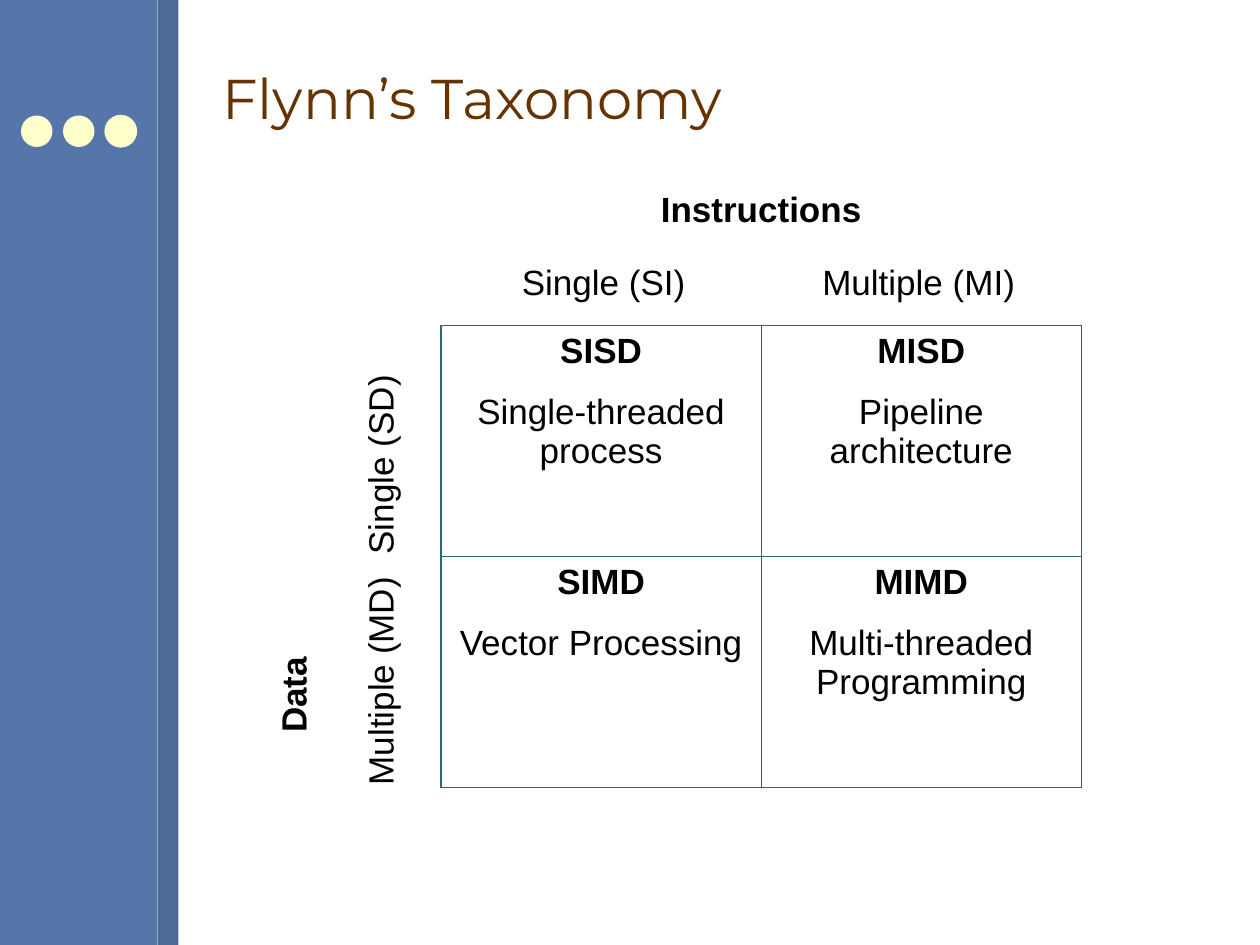
"""Build the Flynn's Taxonomy slide on a grid of 120 columns by 90 rows."""
import lxml.etree
import pptx
import pptx.dml.color
import pptx.enum.shapes
import pptx.enum.text
import pptx.oxml.ns
import pptx.util

BLUE = pptx.dml.color.RGBColor(0x56, 0x75, 0xA9)
DARK_BLUE = pptx.dml.color.RGBColor(0x4D, 0x69, 0x97)
CREAM = pptx.dml.color.RGBColor(0xFF, 0xFF, 0xCC)
BROWN = pptx.dml.color.RGBColor(0x66, 0x33, 0x00)
BLACK = pptx.dml.color.RGBColor(0, 0, 0)
TEAL = pptx.dml.color.RGBColor(0x33, 0x66, 0x66)
CENTER = pptx.enum.text.PP_ALIGN.CENTER
SHAPE = pptx.enum.shapes.MSO_SHAPE

prs = pptx.Presentation()
prs.slide_width = pptx.util.Inches(10)
prs.slide_height = pptx.util.Inches(7.5)
s = prs.slides.add_slide(prs.slide_layouts[6])
COL, ROW = prs.slide_width / 120, prs.slide_height / 90


def grid(x, y, w, h):
    return int(x * COL), int(y * ROW), int(w * COL), int(h * ROW)


def write(p, text, font="Arial", size=20, color=BLACK, bold=False, align=CENTER, line=None, gap=None):
    p.alignment = align
    if line:
        p.line_spacing = line
    if gap:
        p.space_before = p.space_after = pptx.util.Pt(gap)
    r = p.add_run()
    r.text = text
    r.font.name, r.font.size, r.font.bold = font, pptx.util.Pt(size), bold
    r.font.color.rgb = color


for kind, color, box in [
    (SHAPE.RECTANGLE, BLUE, (0, 0, 15, 90)),
    (SHAPE.RECTANGLE, DARK_BLUE, (15, 0, 2, 90)),
    *[(SHAPE.OVAL, CREAM, (2 + 4 * i, 11, 3, 3)) for i in range(3)],
]:
    sp = s.shapes.add_shape(kind, *grid(*box))
    sp.shadow.inherit = False
    sp.fill.solid()
    sp.fill.fore_color.rgb = color
    sp.line.fill.background()
sp.line.color.rgb = CREAM
sp.line.width = pptx.util.Pt(0.75)

tf = s.shapes.add_textbox(*grid(20, 2.5, 96, 13.5)).text_frame
tf.word_wrap = True
tf.vertical_anchor = pptx.enum.text.MSO_ANCHOR.MIDDLE
write(tf.paragraphs[0], "Flynn’s Taxonomy", font="Montserrat", size=32, color=BROWN, align=None)

for text, box, bold, upward in [
    ("Instructions", (43, 18, 59, 4.5), True, False),
    ("Single (SI)", (43, 25, 29, 4.5), False, False),
    ("Multiple (MI)", (73, 25, 29, 4.5), False, False),
    ("Data", (26, 35, 5.6, 36), True, True),
    ("Single (SD)", (34.3, 30, 5.6, 24), False, True),
    ("Multiple (MD)", (34.3, 52, 5.6, 24), False, True),
]:
    sp = s.shapes.add_textbox(*grid(*box))
    tf = sp.text_frame
    tf.word_wrap = True
    if upward:
        sp.rotation = 180
        sp.element.txBody.bodyPr.set("vert", "eaVert")
        tf.margin_left = tf.margin_right = pptx.util.Inches(0.05)
        tf.margin_top = tf.margin_bottom = pptx.util.Inches(0.1)
    write(tf.paragraphs[0], text, bold=bold, line=0.81)

CELLS = [
    [("SISD", "Single-threaded process"), ("MISD", "Pipeline architecture")],
    [("SIMD", "Vector Processing"), ("MIMD", "Multi-threaded Programming")],
]
table = s.shapes.add_table(2, 2, *grid(42, 31, 61, 44)).table
table.first_row = table.horz_banding = False
for i, row in enumerate(CELLS):
    for j, (name, example) in enumerate(row):
        cell = table.cell(i, j)
        tc_pr = cell._tc.get_or_add_tcPr()
        for side, outer in [("L", j == 0), ("R", j == 1), ("T", i == 0), ("B", i == 1)]:
            ln = lxml.etree.SubElement(tc_pr, pptx.oxml.ns.qn(f"a:ln{side}"))
            ln.set("w", str(pptx.util.Pt(1.08 if outer else 0.45)))
            fill = lxml.etree.SubElement(ln, pptx.oxml.ns.qn("a:solidFill"))
            lxml.etree.SubElement(fill, pptx.oxml.ns.qn("a:srgbClr")).set("val", str(TEAL))
        cell.fill.background()
        write(cell.text_frame.paragraphs[0], name, bold=True, gap=6.2)
        write(cell.text_frame.add_paragraph(), example, gap=6.2)

prs.save("out.pptx")
